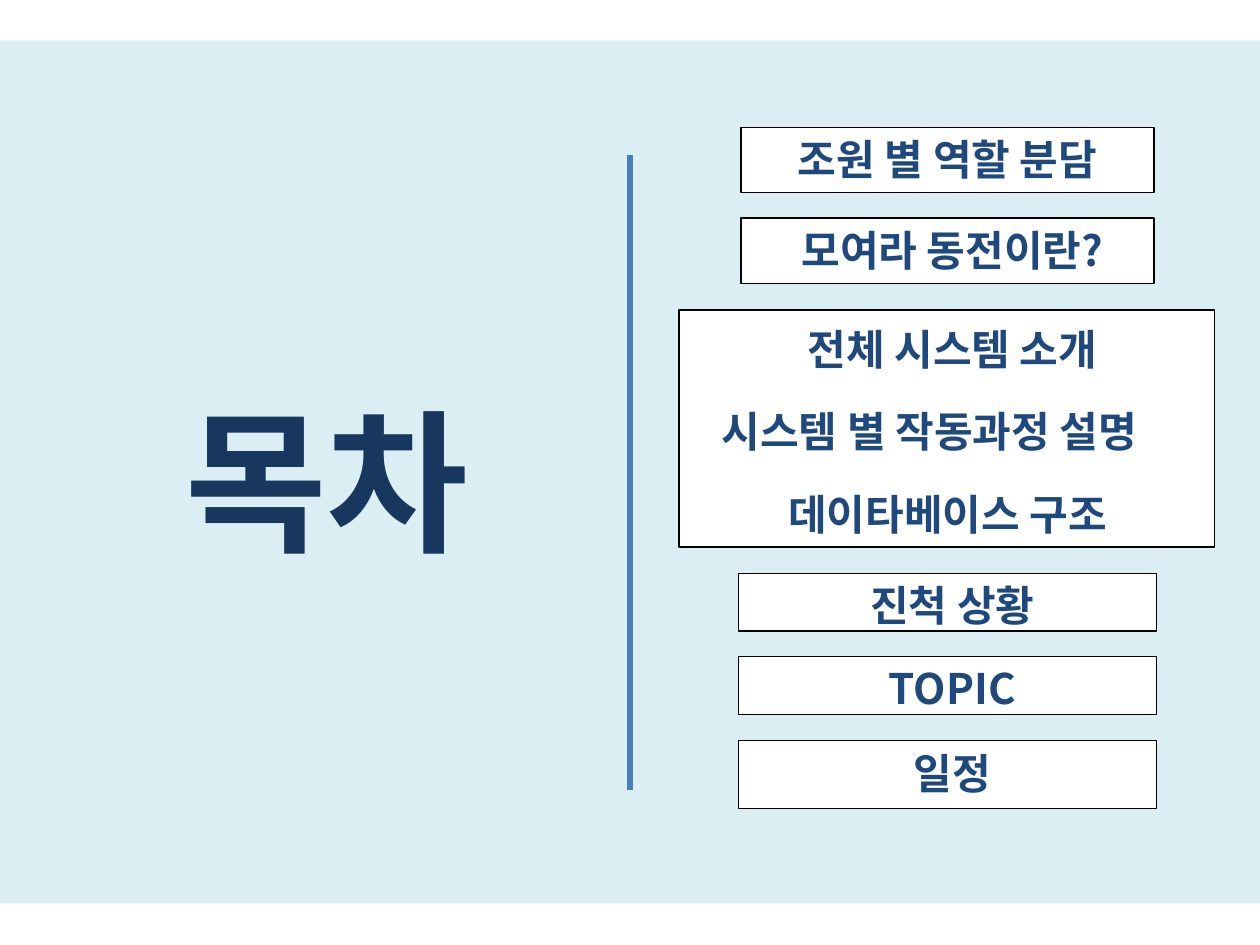
from lxml import etree
from pptx import Presentation
from pptx.dml.color import RGBColor
from pptx.enum import shapes, text
from pptx.oxml.ns import qn
from pptx.util import Inches, Pt

FONT = "Noto Sans CJK KR"
WHITE = RGBColor(0xFF, 0xFF, 0xFF)
BLACK = RGBColor(0, 0, 0)
PALE = RGBColor(0xDB, 0xEE, 0xF4)
NAVY = RGBColor(0x17, 0x37, 0x5E)
BLUE = RGBColor(0x1F, 0x49, 0x7D)
RULE = RGBColor(0x4B, 0x7E, 0xBC)

MID = 7.52  # centre of the topic column
LEFT, CENTER = text.PP_ALIGN.LEFT, text.PP_ALIGN.CENTER

# Topics: wording, top, width, height
FRAMED = [
    (" 조원 별 역할 분담 ", 1.01, 3.28, 0.52),
    (" 모여라 동전이란?", 1.73, 3.28, 0.52),
    (" 진척 상황", 4.55, 3.32, 0.46),
    (" TOPIC", 5.21, 3.32, 0.46),
    (" 일정", 5.88, 3.32, 0.54),
]
GROUPED = [
    (" 전체 시스템 소개", 2.52, 3.44, 0.52),
    ("데이타베이스 구조", 3.83, 4.17, 0.48),
]
PROCESS = "시스템 별 작동과정 설명"

deck = Presentation()
deck.slide_width, deck.slide_height = Inches(10), Inches(7.5)
slide = deck.slides.add_slide(deck.slide_layouts[6])


def write(shape, words, size, color, align=CENTER):
    frame = shape.text_frame
    frame.word_wrap = True
    frame.vertical_anchor = text.MSO_ANCHOR.TOP
    para = frame.paragraphs[0]
    para.text = words
    para.alignment = align
    font = para.font
    font.name, font.size, font.bold = FONT, Pt(size), True
    font.color.rgb = color
    # East Asian face for the Korean letters
    for run in para.runs:
        etree.SubElement(run._r.get_or_add_rPr(), qn("a:ea"), typeface=FONT)


def box(left, top, width, height, fill=WHITE, line=None):
    shape = slide.shapes.add_shape(
        shapes.MSO_SHAPE.RECTANGLE,
        *map(Inches, (left, top, width, height)))
    shape.shadow.inherit = False
    shape.fill.solid()
    shape.fill.fore_color.rgb = fill
    if line:
        shape.line.color.rgb = BLACK
        shape.line.width = Pt(line)
    else:
        shape.line.fill.background()
    return shape


def topic(words, top, width, height, line=None):
    shape = box(MID - width / 2, top, width, height, line=line)
    write(shape, words, 24, BLUE)


# Background band and the frame around the system topics
box(0, 0.32, 10, 6.85, PALE)
box(5.39, 2.46, 4.25, 1.88, line=1)

# Title
title = slide.shapes.add_textbox(*map(Inches, (0.43, 3.02, 4.33, 1.04)))
write(title, "목차", 88, NAVY)

# Divider
rule = slide.shapes.add_connector(
    shapes.MSO_CONNECTOR.STRAIGHT, *map(Inches, (5, 1.23, 5, 6.27)))
rule.line.color.rgb = RULE
rule.line.width = Pt(3)
etree.SubElement(rule._element.spPr, qn("a:effectLst"))

# Topics
for item in FRAMED:
    topic(*item, line=0.75)
for item in GROUPED:
    topic(*item)
write(box(5.63, 3.17, 3.9, 0.5), PROCESS, 24, BLUE, LEFT)

deck.save("out.pptx")
